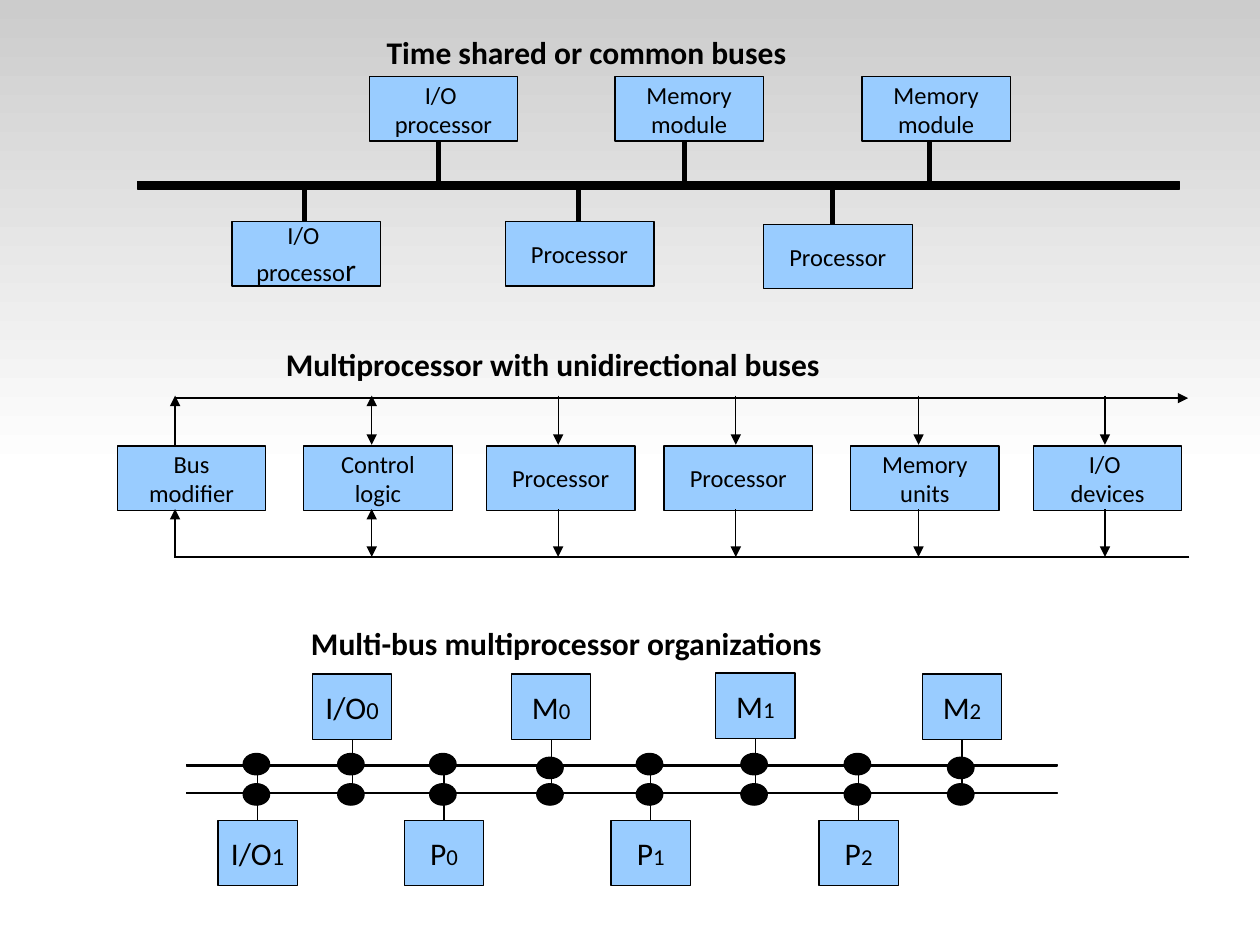
from dataclasses import dataclass
from typing import Optional

from lxml.etree import SubElement
from pptx import Presentation
from pptx.dml.color import RGBColor
from pptx.enum.shapes import MSO_CONNECTOR as Connector, MSO_SHAPE as Preset
from pptx.enum.text import MSO_ANCHOR as Anchor, PP_ALIGN as Align
from pptx.oxml.ns import qn
from pptx.util import Inches, Pt

# Grid of 100 columns by 75 rows; all lengths below are counted in its cells
COLUMNS, ROWS = 100, 75
COLORS = {"ink": "000000", "box": "99CCFF", "sky": "CCCCCC", "paper": "FFFFFF"}
FONT = "Calibri"
THIN, THICK = 0.75, 2.89
BOX, SMALL_BOX, DOT = (11.8, 5.1), (6.3, 5.2), (2.1, 1.7)
TOP, BOTTOM = 0, 2  # connection sites of a rectangle


@dataclass
class Run:
    text: str
    size: float = 14


@dataclass
class Node:
    column: float
    row: float
    lines: list[list[Run]]
    stem: Optional[float] = None  # column of the line to the bus, if off centre
    heads: tuple[str, ...] = ("tail",)


def words(*lines: str) -> list[list[Run]]:
    return [[Run(line)] for line in lines]


def indexed(name: str, index: str, size: float = 13) -> list[list[Run]]:
    return [[Run(name, 18), Run(index, size)]]


presentation = Presentation()
presentation.slide_width, presentation.slide_height = Inches(10), Inches(7.5)
slide = presentation.slides.add_slide(presentation.slide_layouts[6])


def x(columns: float) -> int:
    return round(presentation.slide_width * columns / COLUMNS)


def y(rows: float) -> int:
    return round(presentation.slide_height * rows / ROWS)


def color(name: str) -> RGBColor:
    return RGBColor.from_string(COLORS[name])


def add_run(paragraph, run: Run, bold: bool = False) -> None:
    part = paragraph.add_run()
    part.text = run.text
    style = {"name": FONT, "size": Pt(run.size), "bold": bold}
    for attribute, value in style.items():
        setattr(part.font, attribute, value)
    part.font.color.rgb = color("ink")


def add_solid(preset, column: float, row: float, size: tuple, fill: str = "ink"):
    shape = slide.shapes.add_shape(preset, x(column), y(row), x(size[0]), y(size[1]))
    shape.shadow.inherit = False
    shape.fill.solid()
    shape.fill.fore_color.rgb = color(fill)
    shape.line.color.rgb = color("ink")
    shape.line.width = Pt(THIN)
    return shape


def add_box(node: Node, size: tuple = BOX):
    shape = add_solid(Preset.RECTANGLE, node.column, node.row, size, "box")
    frame = shape.text_frame
    frame.word_wrap = False
    frame.vertical_anchor = Anchor.MIDDLE
    for number, line in enumerate(node.lines):
        paragraph = frame.add_paragraph() if number else frame.paragraphs[0]
        paragraph.alignment = Align.CENTER
        for run in line:
            add_run(paragraph, run)
    return shape


def add_line(start: tuple, end: tuple, width: float = THIN, heads: tuple = ()):
    line = slide.shapes.add_connector(
        Connector.STRAIGHT, x(start[0]), y(start[1]), x(end[0]), y(end[1]))
    line.line.color.rgb = color("ink")
    line.line.width = Pt(width)
    outline = line.line._get_or_add_ln()
    for head in heads:
        SubElement(outline, qn(f"a:{head}End"), type="triangle")
    SubElement(line._element.spPr, qn("a:effectLst"))
    return line


def add_title(text: str, column: float, row: float, width: float, height: float) -> None:
    box = slide.shapes.add_textbox(x(column), y(row), x(width), y(height))
    box.text_frame.word_wrap = True
    add_run(box.text_frame.paragraphs[0], Run(text, 18), bold=True)


# Shaded upper half of the background
shade = add_solid(Preset.ROUNDED_RECTANGLE, 0, 0, (COLUMNS, ROWS / 2))
shade.adjustments[0] = 0
shade.line.fill.background()
shade.fill.gradient()
shade.fill.gradient_angle = 270
for stop, name in zip(shade.fill.gradient_stops, ("sky", "paper")):
    stop.color.rgb = color(name)

# Time shared or common buses: boxes above and below one thick bus
add_title("Time shared or common buses", 29.7, 2.1, 55.1, 4)
last_letter = words("I/O ") + [[Run("processo"), Run("r", 18)]]
common_nodes = [
    Node(29.3, 6.1, words("I/O ", "processor"), 34.8),
    Node(48.8, 6.1, words("Memory", "module"), 54.3),
    Node(68.4, 6.1, words("Memory", "module"), 73.8),
    Node(18.4, 17.6, last_letter, 24.2),
    Node(40.1, 17.6, words("Processor"), 45.9),
    Node(60.6, 17.8, words("Processor"), 66.1),
]
for node in common_nodes:
    edge, bus = (11, 14.4) if node.row < 14 else (17.9, 14.5)
    add_line((node.stem, bus), (node.stem, edge), THICK)
    add_box(node)
add_solid(Preset.RECTANGLE, 10.9, 14.4, (82.7, 0.6))

# Multiprocessor with unidirectional buses: one row between two thin buses
add_title("Multiprocessor with unidirectional buses", 21.7, 26.9, 62.3, 6.6)
both = ("head", "tail")
row_nodes = [
    Node(9.3, 35.4, words("Bus", "modifier"), 13.9, ("head",)),
    Node(24.1, 35.4, words("Control", "logic"), 29.5, both),
    Node(38.6, 35.4, words("Processor"), 44.3),
    Node(52.7, 35.4, words("Processor"), 58.4),
    Node(67.5, 35.4, words("Memory", "units"), 72.9),
    Node(82, 35.4, words("I/O ", "devices"), 87.7),
]
add_line((13.9, 31.6), (94.3, 31.6), heads=("tail",))
add_line((94.4, 44.2), (13.8, 44.2))
for node in row_nodes:
    add_box(node)
    for top, bottom in ((31.4, 35.3), (40.4, 44.2)):
        add_line((node.stem, top), (node.stem, bottom), heads=node.heads)

# Multi-bus multiprocessor organizations: boxes joined to two buses by dots
add_title("Multi-bus multiprocessor organizations", 23.7, 49, 62.3, 6.6)
for bus_row in (60.7, 62.9):
    add_solid(Preset.RECTANGLE, 14.8, bus_row, (69.1, 0.1))

UPPER_DOT, LOW_UPPER_DOT, LOWER_DOT = 59.8, 60.1, 62.2
multi_bus_nodes = [
    (Node(24.8, 53.5, indexed("I/O", "0", 14)), UPPER_DOT),
    (Node(40.6, 53.5, indexed("M", "0")), LOW_UPPER_DOT),
    (Node(56.8, 53.4, indexed("M", "1")), UPPER_DOT),
    (Node(73.2, 53.5, indexed("M", "2")), LOW_UPPER_DOT),
    (Node(17.3, 65.1, indexed("I/O", "1", 14)), UPPER_DOT),
    (Node(32.1, 65.1, indexed("P", "0")), UPPER_DOT),
    (Node(48.5, 65.1, indexed("P", "1")), UPPER_DOT),
    (Node(65, 65.1, indexed("P", "2")), UPPER_DOT),
]
for node, upper_dot in multi_bus_nodes:
    box = add_box(node, SMALL_BOX)
    above = node.row < 60
    middle = node.column + SMALL_BOX[0] / 2
    stem = add_line((middle, node.row), (middle, 63 if above else 60.7))
    stem.begin_connect(box, BOTTOM if above else TOP)
    for dot_row in (upper_dot, LOWER_DOT):
        add_solid(Preset.OVAL, middle - DOT[0] / 2 - 0.1, dot_row, DOT)

presentation.save("out.pptx")
